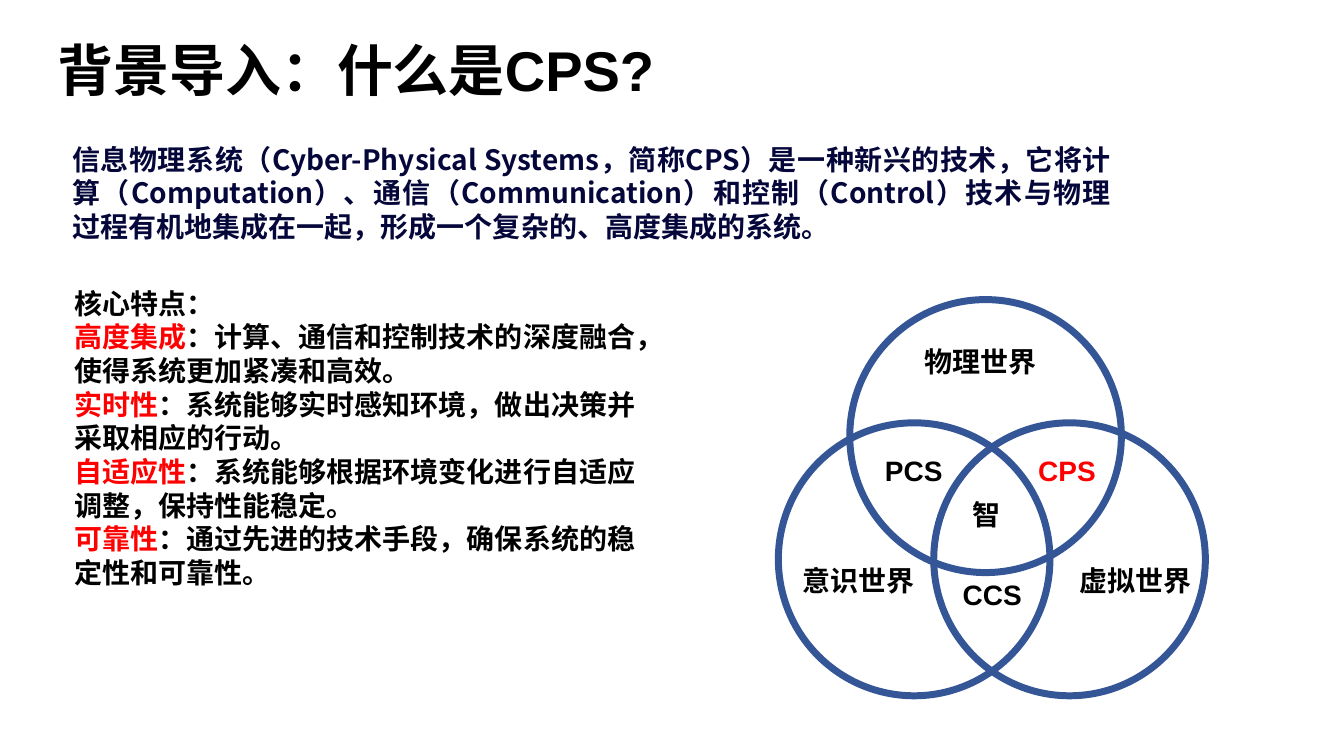
"""Build a slide that explains what CPS is, with a three-circle diagram."""
from lxml import etree
from pptx import Presentation
from pptx import util as u
from pptx.dml.color import RGBColor
from pptx.enum import shapes, text
from pptx.oxml.ns import qn

BLACK, RED, NAVY, BLUE = "000000", "FF0000", "05073B", "355696"
LATIN, CJK = "Arial", "Noto Sans CJK SC"

INTRO = (
    "信息物理系统（Cyber-Physical Systems，简称CPS）是一种新兴的技术，它将"
    "计算（Computation）、通信（Communication）和控制（Control）技术与"
    "物理过程有机地集成在一起，形成一个复杂的、高度集成的系统。"
)
FEATURES = [
    ("高度集成", "：计算、通信和控制技术的深度融合，使得系统更加紧凑和高效。"),
    ("实时性", "：系统能够实时感知环境，做出决策并采取相应的行动。"),
    ("自适应性", "：系统能够根据环境变化进行自适应调整，保持性能稳定。"),
    ("可靠性", "：通过先进的技术手段，确保系统的稳定性和可靠性。"),
]
CIRCLES = [(607, 214), (667, 302), (556, 302)]
LABELS = [
    ("物理世界", 653, 242.5, 96.5, BLACK),
    ("意识世界", 566, 399, 96.5, BLACK),
    ("虚拟世界", 764, 399, 96.5, BLACK),
    ("CPS", 734.5, 320.5, 60, RED),
    ("PCS", 625, 320.5, 55.5, BLACK),
    ("CCS", 680.5, 409, 57, BLACK),
    ("智", 687.5, 352, 47, BLACK),
]


def rgb(value):
    """Turn a hex string into a colour."""
    return RGBColor.from_string(value)


def points(*lengths):
    """Turn numbers into lengths in points."""
    return [u.Pt(length) for length in lengths]


def write(paragraph, words, *, size=20, color=BLACK, face=LATIN, align=None):
    """Add bold words to a paragraph in the given format."""
    run = paragraph.add_run()
    run.text = words
    run.font.size = u.Pt(size)
    run.font.bold = True
    run.font.name = face
    run.font.color.rgb = rgb(color)
    east_asian = etree.SubElement(run.font._element, qn("a:ea"))
    east_asian.set("typeface", CJK)
    if align is not None:
        paragraph.alignment = align


def add_frame(slide, left, top, width, height):
    """Add a wrapping text box and return its text frame."""
    frame = slide.shapes.add_textbox(*points(left, top, width, height)).text_frame
    frame.word_wrap = True
    return frame


def add_title(slide, words):
    """Place and fill the title placeholder."""
    title = slide.shapes.title
    title.left, title.top, title.width, title.height = points(21.6, 18.7, 465, 61)
    frame = title.text_frame
    frame.word_wrap = False
    frame.auto_size = text.MSO_AUTO_SIZE.NONE
    frame.vertical_anchor = text.MSO_ANCHOR.MIDDLE
    write(frame.paragraphs[0], words, size=40, align=text.PP_ALIGN.CENTER)


def add_circle(slide, left, top):
    """Add one unfilled circle of the diagram."""
    circle = slide.shapes.add_shape(
        shapes.MSO_SHAPE.OVAL, *points(left, top, 194, 195))
    circle.shadow.inherit = False
    circle.fill.background()
    circle.line.color.rgb = rgb(BLUE)
    circle.line.width = u.Pt(5)


def add_label(slide, words, left, top, width, color):
    """Add one label of the diagram."""
    frame = add_frame(slide, left, top, width, 31.5)
    write(frame.paragraphs[0], words, color=color)


def add_features(slide):
    """Add the list of features with their names in red."""
    frame = add_frame(slide, 46, 201, 416, 225)
    write(frame.paragraphs[0], "核心特点：", face=CJK)
    for feature, meaning in FEATURES:
        paragraph = frame.add_paragraph()
        write(paragraph, feature, color=RED, face=CJK)
        write(paragraph, meaning, face=CJK)


def main():
    """Build and save the slide."""
    deck = Presentation()
    deck.slide_width, deck.slide_height = points(960, 540)
    slide = deck.slides.add_slide(deck.slide_layouts[5])
    add_title(slide, "背景导入：什么是CPS?")
    intro = add_frame(slide, 44.6, 98, 756, 80)
    write(intro.paragraphs[0], INTRO, color=NAVY, face=CJK,
          align=text.PP_ALIGN.JUSTIFY)
    for corner in CIRCLES:
        add_circle(slide, *corner)
    for label in LABELS:
        add_label(slide, *label)
    add_features(slide)
    deck.save("out.pptx")


if __name__ == "__main__":
    main()
